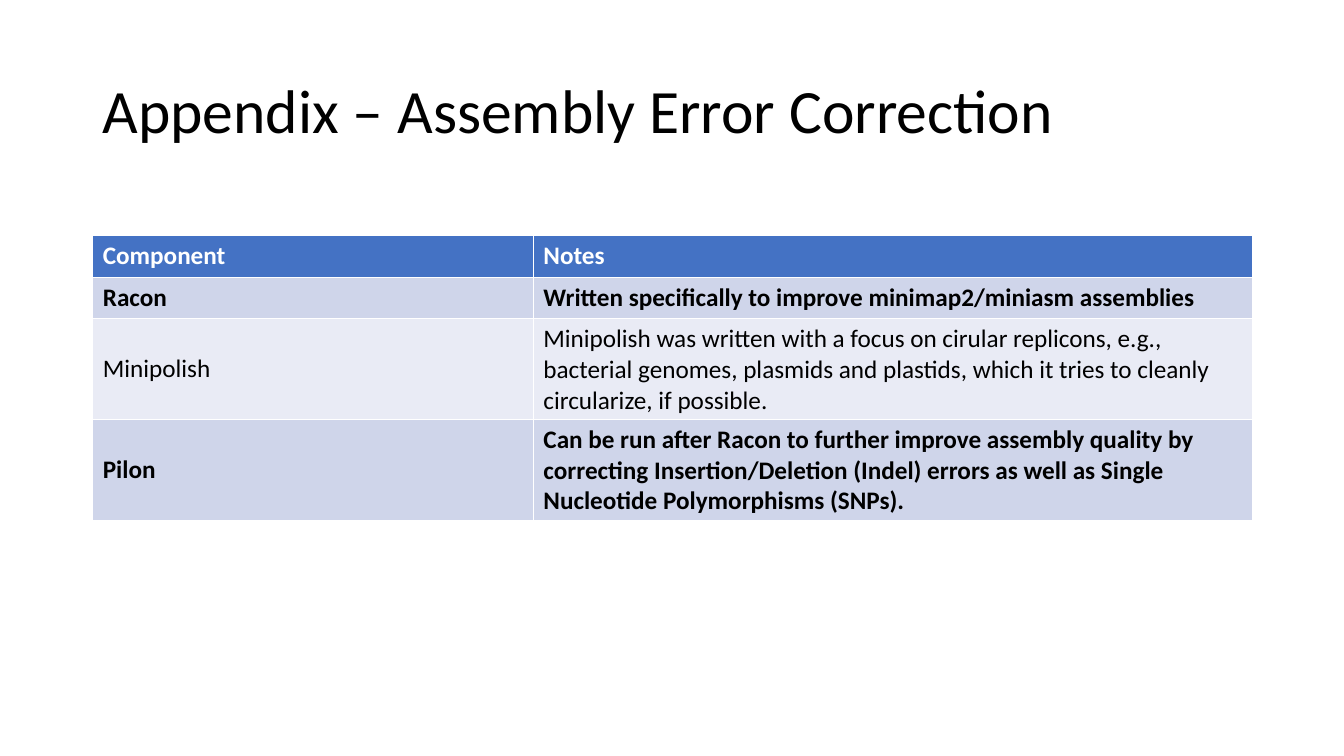
from pptx import Presentation
from pptx.dml.color import RGBColor
from pptx.enum.text import MSO_ANCHOR
from pptx.util import Inches, Pt

MIDDLE, TOP = MSO_ANCHOR.MIDDLE, MSO_ANCHOR.TOP

# Content
TITLE = "Appendix – Assembly Error Correction"
HEAD = ("Component", "Notes")
TOOLS = [  # name, notes, bold
    ("Racon", "Written specifically to improve minimap2/miniasm assemblies", True),
    ("Minipolish", "Minipolish was written with a focus on cirular replicons, e.g., "
     "bacterial genomes, plasmids and plastids, which it tries to cleanly "
     "circularize, if possible.", False),
    ("Pilon", "Can be run after Racon to further improve assembly quality by "
     "correcting Insertion/Deletion (Indel) errors as well as Single "
     "Nucleotide Polymorphisms (SNPs).", True),
]
COLORS = {"head": "4472C4", "odd": "CFD5EA", "even": "E9EBF5",
          "white": "FFFFFF", "black": "000000"}

# Layout in inches
WIDE, HIGH = 13.33, 7.5
LEFT, SPAN = 0.92, 11.5
COLS = (4.37, 7.13)
ROW = 0.41


def color(name):
    return RGBColor.from_string(COLORS[name])


def style(par, size, tint, bold=False):
    font = par.font
    font.name, font.size, font.bold = "Calibri", Pt(size), bold
    font.color.rgb = color(tint)


deck = Presentation()
deck.slide_width, deck.slide_height = Inches(WIDE), Inches(HIGH)
slide = deck.slides.add_slide(deck.slide_layouts[6])

# Title
box = slide.shapes.add_textbox(Inches(LEFT), Inches(0.4), Inches(SPAN), Inches(1.45))
frame = box.text_frame
frame.word_wrap = True
frame.vertical_anchor = MIDDLE
frame.text = TITLE
frame.paragraphs[0].line_spacing = 0.9
style(frame.paragraphs[0], 44, "black")

# Table: the default style draws the white cell borders
rows = [(*HEAD, True)] + TOOLS
table = slide.shapes.add_table(len(rows), len(COLS), Inches(LEFT), Inches(2.34),
                               Inches(SPAN), Inches(ROW * len(rows))).table
for col, width in zip(table.columns, COLS):
    col.width = Inches(width)
for r, (name, notes, bold) in enumerate(rows):
    table.rows[r].height = Inches(ROW)
    fill = "head" if r == 0 else "odd" if r % 2 else "even"
    for c, text in enumerate((name, notes)):
        cell = table.cell(r, c)
        cell.text = text
        cell.vertical_anchor = MIDDLE if r else TOP
        cell.fill.solid()
        cell.fill.fore_color.rgb = color(fill)
        style(cell.text_frame.paragraphs[0], 18, "black" if r else "white", bold)

deck.save("out.pptx")
